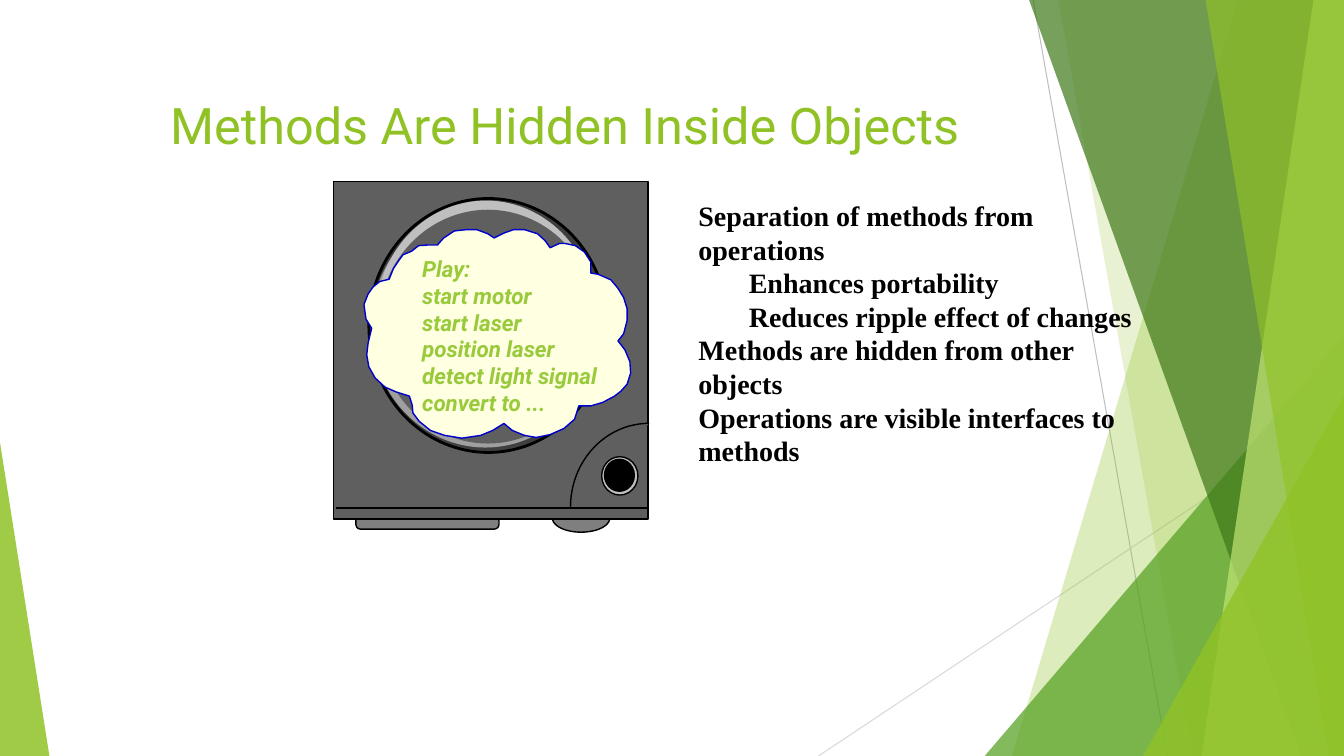
from math import cos, radians, sin

from lxml.etree import SubElement
from pptx import Presentation
from pptx.dml.color import RGBColor
from pptx.enum.shapes import MSO_CONNECTOR, MSO_SHAPE
from pptx.oxml.ns import qn
from pptx.util import Pt

WIDTH, HEIGHT = 960, 540
COLORS = {
    "lime": "90C226", "green": "54A021", "forest": "3F7819", "pale": "C0E474",
    "thin": "BFBFBF", "thinner": "D9D9D9", "black": "000000",
    "case": "5F5F5F", "foot": "7F7F7F", "well": "3F3F3F", "rim": "9F9F9F",
    "shine": "BFBFBF", "ring": "C0C0C0",
    "cloud": "FFFFE1", "cloud_edge": "0000CC", "cloud_text": "99CA3C",
}
CLOUD_OUTLINE = [
    (312.5, 175), (317, 170), (324.5, 165), (333.5, 164), (340.5, 164), (348.5, 167),
    (353, 170), (360, 166.5), (367, 164), (374.5, 164), (384, 167), (389.5, 172),
    (393, 177), (399.5, 174), (404, 174), (411, 175.5), (417.5, 180), (422, 187),
    (422, 195), (427.5, 196), (436.5, 200), (441.5, 206), (445.5, 212.5), (448, 220.5),
    (448, 229), (445.5, 238.5), (441.5, 243.5), (446.5, 250), (450, 258.5), (450.5, 266.5),
    (448, 274.5), (443.5, 279.5), (439, 283), (430.5, 287.5), (422, 290), (413.5, 290),
    (410.5, 299.5), (403, 306), (393, 310.5), (383, 312.5), (374.5, 311), (366, 307.5),
    (360, 302.5), (352, 307.5), (343.5, 311), (330, 313), (317.5, 311), (307.5, 307.5),
    (299.5, 301), (295, 295), (294.5, 289.5), (292.5, 283), (283, 280), (275, 276.5),
    (268, 270), (263.5, 262), (262, 253.5), (263, 245), (265.5, 234.5), (261.5, 228),
    (260, 217.5), (263, 210), (266.5, 205), (271.5, 201), (278, 199.5), (281, 192),
    (285, 186), (288, 182), (294, 179.5), (299, 175.5), (306, 175),
]
# left, top, width, height, fill, line width
DISC_ELLIPSES = [
    (263.5, 141.8, 170.6, 181.4, "well", 2),
    (265, 146.9, 163.4, 172.8, "rim", 0),
    (268.6, 143.3, 157, 166.3, "shine", 0),
    (270, 149.8, 157, 167, "case", 0),
    (333.4, 216, 31, 33.1, "foot", 1),
    (338.4, 221, 21.6, 22.3, "black", 1),
]
KNOB_ELLIPSES = [
    (429.8, 326.2, 25.9, 27.4, "ring", 1),
    (431.3, 327.6, 22.3, 23.8, "black", 0),
]
SEPARATION_POINTS = [
    (0, "Separation of methods from operations"),
    (1, "Enhances portability"),
    (1, "Reduces ripple effect of changes"),
    (0, "Methods are hidden from other objects"),
    (0, "Operations are visible interfaces to methods"),
]
PLAY_STEPS = ["Play:", "start motor", "start laser", "position laser",
              "detect light signal", "convert to ..."]


def rgb(name):
    return RGBColor.from_string(COLORS[name])


def style(shape, fill, line_width=0, line="black", opacity=100):
    shape.shadow.inherit = False
    shape.fill.solid()
    shape.fill.fore_color.rgb = rgb(fill)
    if opacity < 100:
        color = shape.fill._xPr.find(qn("a:solidFill"))[0]
        SubElement(color, qn("a:alpha"), val=str(opacity * 1000))
    if line_width:
        shape.line.color.rgb = rgb(line)
        shape.line.width = Pt(line_width)
    else:
        shape.line.fill.background()


def add_preset(slide, kind, box, fill, adjustment=None, **look):
    shape = slide.shapes.add_shape(kind, *map(Pt, box))
    if adjustment is not None:
        shape.adjustments[0] = adjustment
    style(shape, fill, **look)


def add_outline(slide, points, fill, close=True, **look):
    start, *rest = [(Pt(x), Pt(y)) for x, y in points]
    builder = slide.shapes.build_freeform(*start, scale=1.0)
    builder.add_line_segments(rest, close=close)
    style(builder.convert_to_shape(), fill, **look)


def add_line(slide, ends, color, width):
    connector = slide.shapes.add_connector(MSO_CONNECTOR.STRAIGHT, *map(Pt, ends))
    connector.line.color.rgb = rgb(color)
    connector.line.width = Pt(width)
    SubElement(connector._element.spPr, qn("a:effectLst"))


def arc_points(center, radii, first, last, steps=24):
    """Points along an elliptical arc, angles in degrees clockwise from the right."""
    angles = [radians(first + (last - first) * i / steps) for i in range(steps + 1)]
    return [(center[0] + radii[0] * cos(a), center[1] + radii[1] * sin(a)) for a in angles]


def add_text(slide, box, lines, font, size, color, bold=False, italic=False,
             wrap=True, line_height=None):
    """Add a text box; lines holds (level, text) pairs."""
    text_frame = slide.shapes.add_textbox(*map(Pt, box)).text_frame
    text_frame.word_wrap = wrap
    text_frame.text = "\n".join(text for _, text in lines)
    for paragraph, (level, _) in zip(text_frame.paragraphs, lines):
        if level:
            paragraph.level = level
            properties = paragraph._p.get_or_add_pPr()
            properties.set("marL", str(Pt(36 * level)))
            properties.set("indent", "0")
        if line_height:
            paragraph.line_spacing = Pt(line_height)
        for run in paragraph.runs:
            run.font.name = font
            run.font.size = Pt(size)
            run.font.bold = bold
            run.font.italic = italic
            run.font.color.rgb = rgb(color)


def add_facet(slide, top_x, bottom_x, fill, opacity):
    """Translucent pane from a slanted left edge to the right side of the slide."""
    corners = [(top_x, 0), (WIDTH, 0), (WIDTH, HEIGHT), (bottom_x, HEIGHT)]
    add_outline(slide, corners, fill, opacity=opacity)


def add_wedge(slide, left, right, top, apex, fill, opacity):
    """Translucent triangle standing on the bottom edge of the slide."""
    add_preset(slide, MSO_SHAPE.ISOSCELES_TRIANGLE, (left, top, right - left, HEIGHT - top),
               fill, adjustment=apex, opacity=opacity)


def add_backdrop(slide):
    add_line(slide, (738, 0, 833.8, HEIGHT), "thin", 0.75)
    add_line(slide, (WIDTH, 290.2, 584.6, HEIGHT), "thinner", 0.75)
    add_facet(slide, 884.2, 722.9, "lime", 30)
    add_facet(slide, 756, 851.8, "lime", 20)
    add_wedge(slide, 703.4, WIDTH, 239.8, 1, "green", 72)
    add_facet(slide, 735.1, 929.5, "forest", 70)
    add_facet(slide, 938.2, 858.2, "pale", 70)
    add_facet(slide, 861.1, 949, "lime", 65)
    add_wedge(slide, 816.5, WIDTH, 283, 1, "lime", 80)
    add_wedge(slide, 0, 35.3, 316.1, 0, "lime", 85)


def add_disc_player(slide):
    add_outline(slide, arc_points((415.1, 370.1), (20.5, 10.1), 0, 180), "foot",
                close=False, line_width=1)
    add_preset(slide, MSO_SHAPE.ROUNDED_RECTANGLE, (254.2, 361.4, 102.2, 16.6), "foot",
               adjustment=0.2, line_width=1)
    add_preset(slide, MSO_SHAPE.RECTANGLE, (238.3, 129.6, 224.6, 241.2), "case", line_width=1)
    add_outline(slide, arc_points((463.7, 362.2), (56.2, 59.8), 180, 270), "case",
                close=False, line_width=1)
    add_line(slide, (239.8, 362.9, 463, 362.9), "black", 1)
    for *box, fill, line_width in DISC_ELLIPSES + KNOB_ELLIPSES:
        add_preset(slide, MSO_SHAPE.OVAL, box, fill, line_width=line_width)


def main():
    presentation = Presentation()
    presentation.slide_width, presentation.slide_height = Pt(WIDTH), Pt(HEIGHT)
    slide = presentation.slides.add_slide(presentation.slide_layouts[6])
    add_backdrop(slide)
    add_text(slide, (114.5, 63.4, 756, 82.8), [(0, "Methods Are Hidden Inside Objects")],
             "Roboto", 36, "lime")
    add_text(slide, (491.8, 138.2, 324, 200.9), SEPARATION_POINTS, "Times New Roman", 20,
             "black", bold=True, line_height=24)
    add_disc_player(slide)
    add_outline(slide, CLOUD_OUTLINE, "cloud", line_width=1, line="cloud_edge")
    add_text(slide, (294.5, 178.6, 150.5, 122.4), [(0, step) for step in PLAY_STEPS],
             "Roboto", 16, "cloud_text", bold=True, italic=True, wrap=False, line_height=19.2)
    presentation.save("out.pptx")


if __name__ == "__main__":
    main()
